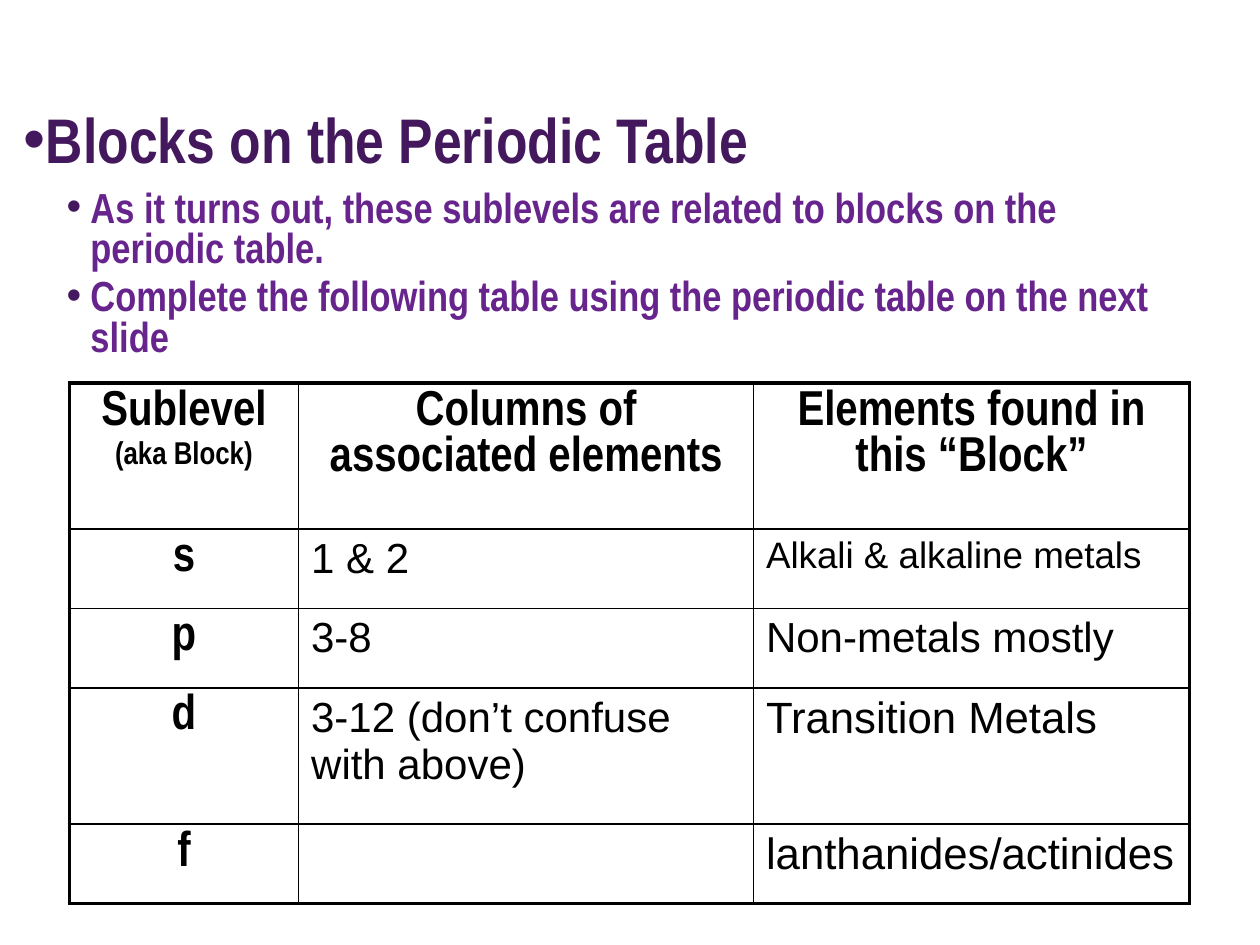
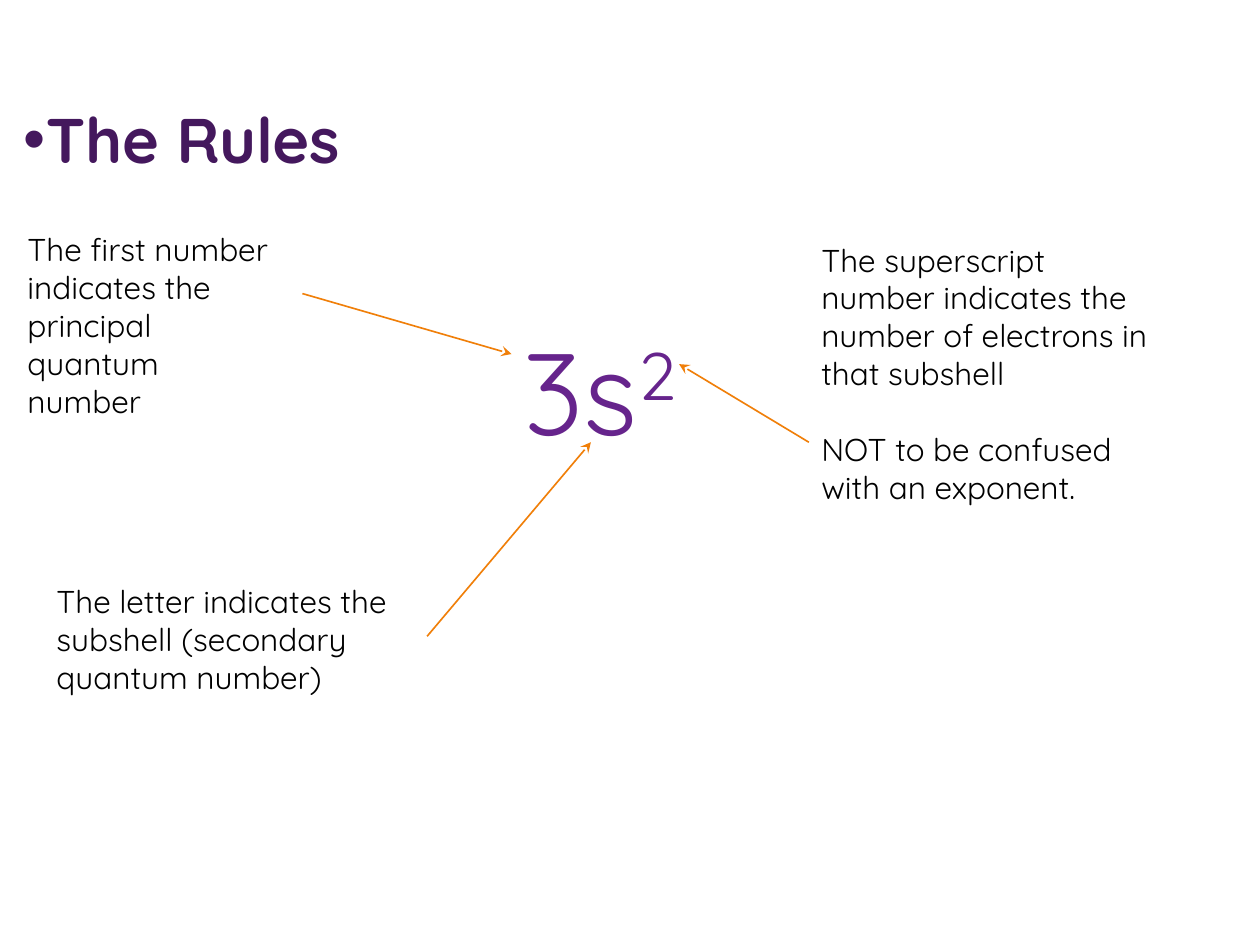
"""Build two slides on sublevel blocks and the rules of shell notation."""
from dataclasses import dataclass

from lxml.etree import SubElement as Sub
from pptx import Presentation as Deck
from pptx.dml.color import RGBColor as Rgb
from pptx.enum.shapes import MSO_CONNECTOR as Link
from pptx.enum.text import MSO_ANCHOR as Anchor, MSO_AUTO_SIZE as Fit, PP_ALIGN as Align
from pptx.oxml.ns import qn
from pptx.util import Inches, Pt


@dataclass(frozen=True)
class Theme:
    dark: str = "44185D"
    plum: str = "66248C"
    ink: str = "000000"
    flame: str = "F07F09"
    plain: str = "Arial"
    slim: str = "Arial Narrow"
    round: str = "Quicksand"
    title: float = 36
    point: float = 24
    head: float = 28
    note: float = 18
    term: float = 66
    thick: float = 2.25
    thin: float = 1
    arrow: float = 0.94
    tight: float = 0.8


T = Theme()


@dataclass(frozen=True)
class Run:
    text: str
    size: float
    font: str = T.round
    tint: str = T.ink
    bold: bool = False
    lift: int = 0


@dataclass(frozen=True)
class Para:
    runs: tuple[Run, ...]
    align: Align = Align.LEFT
    line: float = 1
    gap: float = 0
    dot: bool = False
    hang: float = 0


@dataclass(frozen=True)
class Box:
    left: float
    top: float
    width: float
    height: float
    paras: tuple[Para, ...]


@dataclass(frozen=True)
class Arrow:
    start: tuple[float, float]
    end: tuple[float, float]


def add_dot(para, hang: float) -> None:
    """Give a paragraph a dark bullet with a hanging indent."""
    props = para._p.get_or_add_pPr()
    props.set("marL", str(Inches(hang)))
    props.set("indent", str(-Inches(hang)))
    Sub(Sub(props, qn("a:buClr")), qn("a:srgbClr"), val=T.dark)
    Sub(props, qn("a:buFont"), typeface=T.plain)
    Sub(props, qn("a:buChar"), char="•")


def write(frame, paras: tuple[Para, ...]) -> None:
    """Fill a text frame run by run."""
    for num, item in enumerate(paras):
        para = frame.add_paragraph() if num else frame.paragraphs[0]
        para.alignment = item.align
        para.line_spacing = item.line
        para.space_before = Pt(item.gap)
        if item.dot:
            add_dot(para, item.hang)
        for part in item.runs:
            run = para.add_run()
            run.text = part.text
            run.font.name = part.font
            run.font.size = Pt(part.size)
            run.font.bold = part.bold
            run.font.color.rgb = Rgb.from_string(part.tint)
            if part.lift:
                run._r.get_or_add_rPr().set("baseline", str(part.lift * 1000))


def add_slide(deck, text: str, font: str):
    """Add a title-only slide with the shared title style."""
    slide = deck.slides.add_slide(deck.slide_layouts[5])
    title = slide.shapes.title
    title.left, title.top = Inches(0.09), Inches(0.75)
    title.width, title.height = Inches(9), Inches(0.7)
    frame = title.text_frame
    frame.auto_size = Fit.NONE
    frame.vertical_anchor = Anchor.MIDDLE
    write(frame, (Para((Run(text, T.title, font, T.dark, True),), dot=True),))
    return slide


def add_box(slide, box: Box) -> None:
    """Draw a wrapped text box."""
    shape = slide.shapes.add_textbox(*map(Inches, (box.left, box.top, box.width, box.height)))
    shape.text_frame.word_wrap = True
    write(shape.text_frame, box.paras)


def add_arrow(slide, arrow: Arrow) -> None:
    """Draw a thin line with a stealth head at its end."""
    link = slide.shapes.add_connector(Link.STRAIGHT, *map(Inches, arrow.start + arrow.end))
    link.line.color.rgb = Rgb.from_string(T.flame)
    link.line.width = Pt(T.arrow)
    Sub(link.line._get_or_add_ln(), qn("a:tailEnd"), type="stealth")
    Sub(link._element.spPr, qn("a:effectLst"))


def add_edge(cell, side: str, width: float) -> None:
    """Draw one border of a cell."""
    line = Sub(cell._tc.get_or_add_tcPr(), qn(f"a:ln{side}"), w=str(Pt(width)))
    Sub(Sub(line, qn("a:solidFill")), qn("a:srgbClr"), val=T.ink)


def add_grid(slide, rows: list, wide: list[float], high: list[float]) -> None:
    """Draw a table with a thick frame and thin inner lines."""
    last, end = len(high) - 1, len(wide) - 1
    grid = slide.shapes.add_table(
        len(high), len(wide), *map(Inches, (0.55, 3.04, sum(wide), sum(high)))).table
    grid.first_row = grid.horz_banding = False
    for col, width in zip(grid.columns, wide):
        col.width = Inches(width)
    for y, (row, height) in enumerate(zip(rows, high)):
        grid.rows[y].height = Inches(height)
        for x, paras in enumerate(row):
            cell = grid.cell(y, x)
            rims = {"L": x == 0, "R": x == end, "T": y == 0, "B": y == last}
            for side, rim in rims.items():
                add_edge(cell, side, T.thick if rim else T.thin)
            cell.fill.background()
            write(cell.text_frame, paras)


def head(text: str, size: float = T.head, gap: float = 0) -> Para:
    """Make a bold, centred table label."""
    return Para((Run(text, size, T.slim, bold=True),), Align.CENTER, gap=gap)


def fact(text: str, size: float = T.point) -> tuple[Para, ...]:
    """Make a plain table entry."""
    return (Para((Run(text, size, T.plain),)),) if text else ()


def point(text: str, gap: float = 0) -> Para:
    """Make a bold bullet point."""
    return Para((Run(text, T.point, T.slim, T.plum, True),),
                line=T.tight, gap=gap, dot=True, hang=0.19)


def note(text: str, gap: float = 0) -> Para:
    """Make a small note."""
    return Para((Run(text, T.note),), gap=gap)


def draw_blocks(deck) -> None:
    """Draw the slide on blocks of the periodic table."""
    slide = add_slide(deck, "Blocks on the Periodic Table", T.slim)
    add_box(slide, Box(0.43, 1.47, 9, 1.37, (
        point("As it turns out, these sublevels are related to blocks on the periodic table."),
        point("Complete the following table using the periodic table on the next slide", 4.3),
    )))
    rows = [
        [(head("Sublevel"), head("(aka Block)", T.note, 3.6)),
         (head("Columns of associated elements"),),
         (head("Elements found in this “Block”"),)],
    ]
    facts = [
        ("s", "1 & 2", "Alkali & alkaline metals", 21),
        ("p", "3-8", "Non-metals mostly", T.point),
        ("d", "3-12 (don’t confuse with above)", "Transition Metals", 25),
        ("f", "", "lanthanides/actinides", 25),
    ]
    rows += [[(head(block),), fact(cols), fact(kind, size)]
             for block, cols, kind, size in facts]
    add_grid(slide, rows, [1.82, 3.61, 3.46], [1.16, 0.63, 0.63, 1.08, 0.63])


def draw_rules(deck) -> None:
    """Draw the slide on the parts of a subshell term."""
    slide = add_slide(deck, "The Rules", T.round)
    boxes = [
        Box(4.06, 2.49, 1.43, 1.37, (Para((
            Run("3s", T.term, tint=T.plum), Run("2", T.term, tint=T.plum, lift=30))),)),
        Box(0.12, 1.78, 2.2, 2.52, (
            note("The first number indicates the principal quantum number"),)),
        Box(0.35, 4.57, 3.07, 1.72, (
            note("The letter indicates the subshell (secondary quantum number)"),)),
        Box(6.42, 1.86, 2.83, 2.52, (
            note("The superscript number indicates the number of electrons in that subshell"),
            note("NOT to be confused with an exponent.", 22))),
    ]
    arrows = [
        Arrow((2.4, 2.33), (4.06, 2.81)),
        Arrow((3.39, 5.05), (4.69, 3.51)),
        Arrow((6.42, 3.51), (5.39, 2.89)),
    ]
    for box in boxes:
        add_box(slide, box)
    for arrow in arrows:
        add_arrow(slide, arrow)


def main() -> None:
    """Build and save the deck."""
    deck = Deck()
    deck.slide_width, deck.slide_height = Inches(10), Inches(7.5)
    draw_blocks(deck)
    draw_rules(deck)
    deck.save("out.pptx")


if __name__ == "__main__":
    main()
